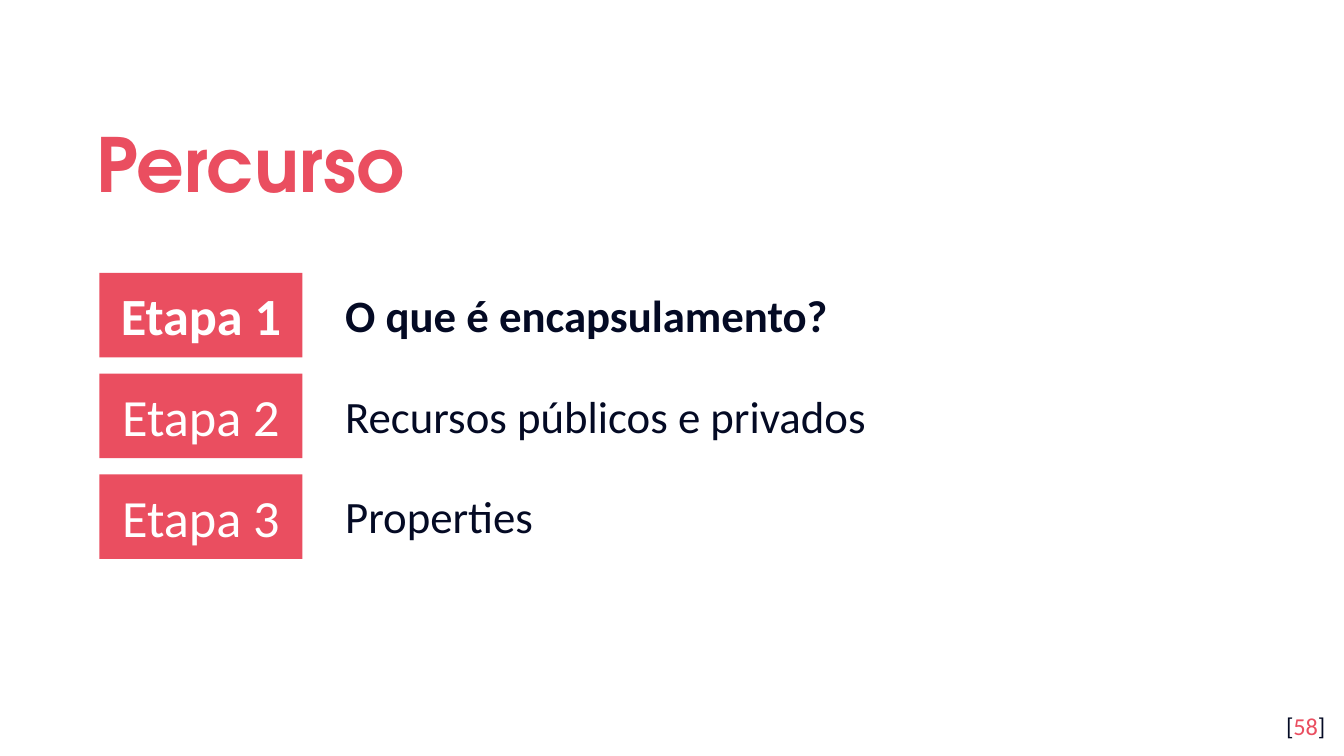
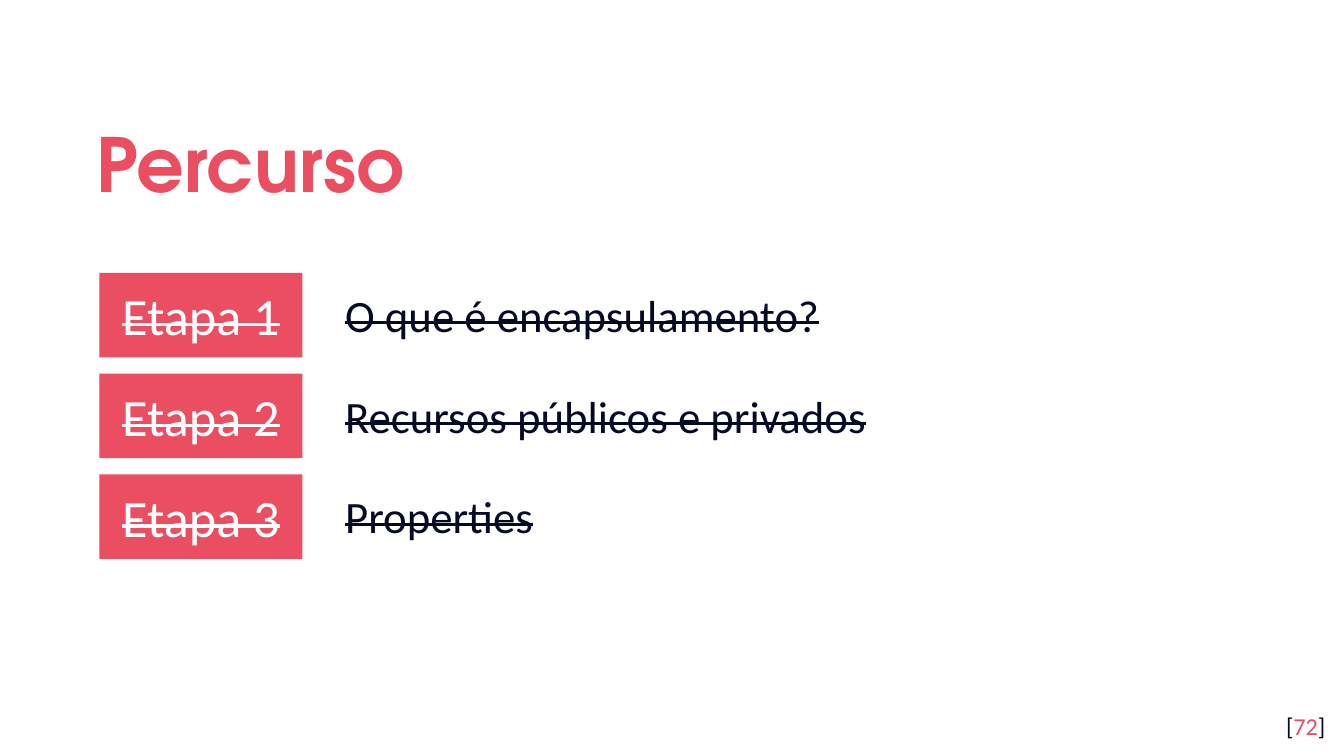
from pptx import Presentation
from pptx.dml.color import RGBColor
from pptx.enum.shapes import MSO_SHAPE
from pptx.enum.text import MSO_ANCHOR, PP_ALIGN
from pptx.util import Inches, Pt

CORAL, NAVY, WHITE = "EA4E60", "040A24", "FFFFFF"
TITLE_FONT, BODY_FONT = "TeX Gyre Adventor", "Calibri"

TITLE_BOX = (0.62, 0.7, 8.1, 0.92)
STAGES_BOX = (0.74, 2.03, 8.48, 2.13)
PAGE_BOX = (9.36, 5.19, 0.6, 0.43)

TOPICS = ["O que é encapsulamento?", "Recursos públicos e privados", "Properties"]


def color(hex_code):
    return RGBColor.from_string(hex_code)


def set_frame(frame, anchor=MSO_ANCHOR.TOP, vertical_inset=0.1):
    frame.word_wrap = True
    frame.vertical_anchor = anchor
    frame.margin_left = frame.margin_right = Inches(0.1)
    frame.margin_top = frame.margin_bottom = Inches(vertical_inset)


def add_label(slide, box):
    return slide.shapes.add_textbox(*map(Inches, box))


def write(paragraph, text, size, hex_code, font=BODY_FONT, bold=False, struck=False):
    run = paragraph.add_run()
    run.text = text
    paragraph.font.name = font
    paragraph.font.size = Pt(size)
    paragraph.font.bold = bold
    paragraph.font.color.rgb = color(hex_code)
    if struck:
        run._r.get_or_add_rPr().set("strike", "sngStrike")


def add_title(slide, box, text):
    frame = add_label(slide, box).text_frame
    set_frame(frame, MSO_ANCHOR.MIDDLE)
    heading = frame.paragraphs[0]
    heading.line_spacing = 1.15
    write(heading, text, 40, CORAL, TITLE_FONT, bold=True)


def add_page_number(slide, box, number):
    frame = add_label(slide, box).text_frame
    set_frame(frame)
    line = frame.paragraphs[0]
    line.alignment = PP_ALIGN.RIGHT
    line.font.name = BODY_FONT
    line.font.size = Pt(13)
    for text, hex_code in (("[", NAVY), (str(number), CORAL), ("]", NAVY)):
        run = line.add_run()
        run.text = text
        run.font.color.rgb = color(hex_code)


def add_stage(slide, box, name, topic, bold, struck):
    left, top, width, height = box
    badge_width, topic_offset, topic_height = 1.51, 1.73, 0.5

    # Stage badge
    badge = slide.shapes.add_shape(
        MSO_SHAPE.RECTANGLE, *map(Inches, (left, top, badge_width, height)))
    badge.shadow.inherit = False
    badge.fill.solid()
    badge.fill.fore_color.rgb = color(CORAL)
    badge.line.fill.background()
    set_frame(badge.text_frame, MSO_ANCHOR.MIDDLE)
    caption = badge.text_frame.paragraphs[0]
    caption.alignment = PP_ALIGN.CENTER
    write(caption, name, 28, WHITE, bold=bold, struck=struck)

    # Topic beside the badge
    frame = add_label(slide, (left + topic_offset, top + 0.06,
                              width - topic_offset, topic_height)).text_frame
    set_frame(frame, vertical_inset=0.05)
    write(frame.paragraphs[0], topic, 24, NAVY, bold=bold, struck=struck)


def add_stages(slide, box, current, finished):
    left, top, width, height = box
    gap = 0.12
    row_height = (height - gap * (len(TOPICS) - 1)) / len(TOPICS)
    for index, topic in enumerate(TOPICS):
        row_top = top + index * (row_height + gap)
        number = index + 1
        add_stage(slide, (left, row_top, width, row_height), f"Etapa {number}",
                  topic, bold=number == current, struck=number <= finished)


def add_roadmap_slide(deck, page, current=None, finished=0):
    slide = deck.slides.add_slide(deck.slide_layouts[6])
    slide.background.fill.solid()
    slide.background.fill.fore_color.rgb = color(WHITE)
    add_title(slide, TITLE_BOX, "Percurso")
    add_stages(slide, STAGES_BOX, current, finished)
    add_page_number(slide, PAGE_BOX, page)


def main():
    deck = Presentation()
    # Widescreen, 16:9
    deck.slide_width = Inches(10)
    deck.slide_height = deck.slide_width * 9 // 16
    add_roadmap_slide(deck, page=58, current=1)
    add_roadmap_slide(deck, page=72, finished=len(TOPICS))
    deck.save("out.pptx")


if __name__ == "__main__":
    main()
